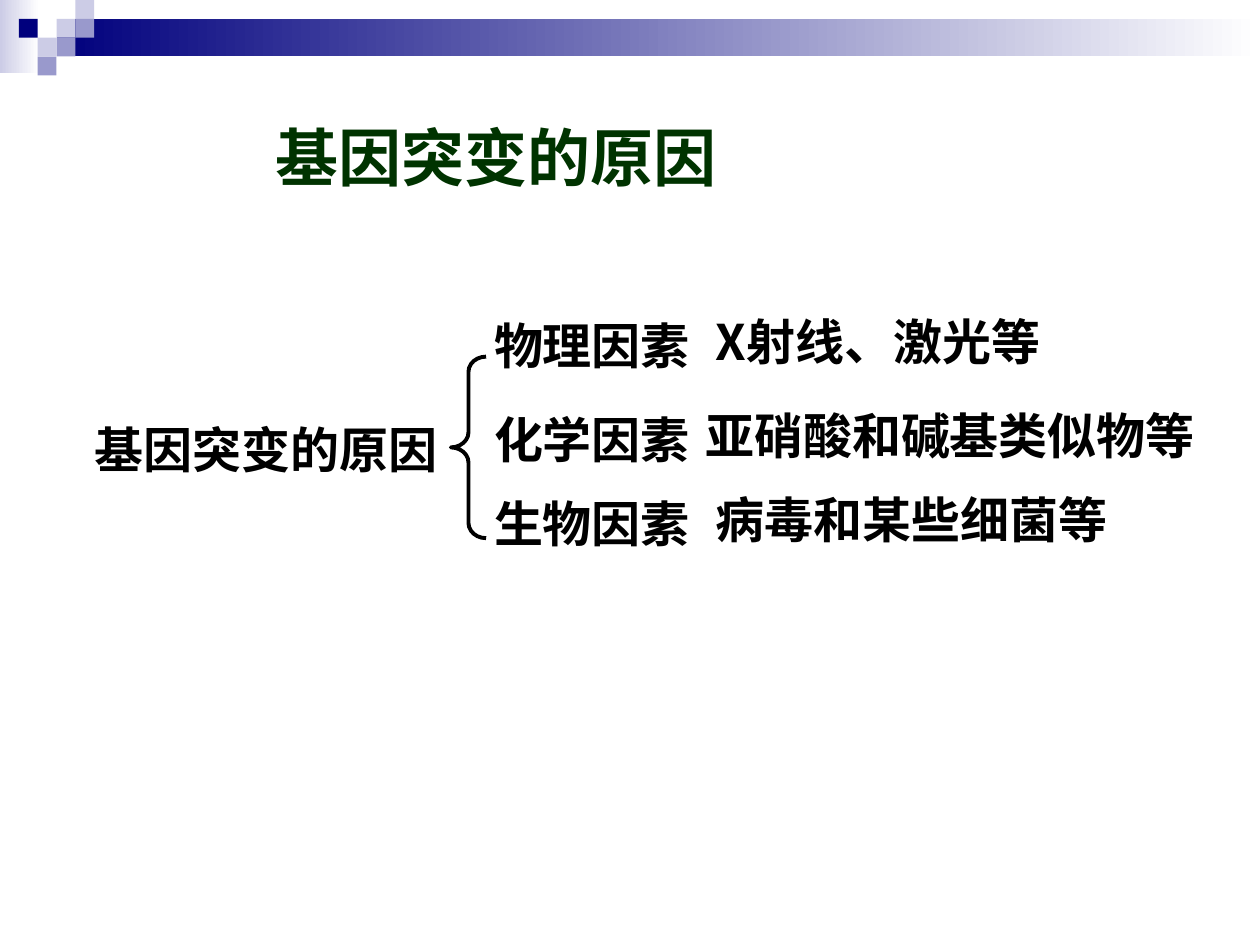
from lxml import etree
from pptx import Presentation
from pptx.dml.color import RGBColor
from pptx.enum.shapes import MSO_SHAPE
from pptx.enum.text import MSO_ANCHOR
from pptx.oxml.ns import qn
from pptx.util import Cm, Pt

RECT, BRACE = MSO_SHAPE.RECTANGLE, MSO_SHAPE.LEFT_BRACE
MIDDLE = MSO_ANCHOR.MIDDLE
FONT = "Noto Sans CJK SC"
COLORS = {"navy": "00007D", "mid": "9999CC", "pale": "CCCCE6",
          "white": "FFFFFF", "title": "003300", "text": "000000"}

# Content
TITLE = "基因突变的原因"
ROOT = "基因突变的原因"
# factor, examples, top of the factor, left of the examples
FACTORS = [
    ("物理因素", "X射线、激光等", 6.35, 14.43),
    ("化学因素", "亚硝酸和碱基类似物等", 8.26, 14.22),
    ("生物因素", "病毒和某些细菌等", 9.95, 14.43),
]

# Header: gradient bars (left, top, width, height, start colour)
BARS = [(0, 0, 0.79, 1.47, "pale"), (1.14, 0.38, 24.26, 0.76, "navy")]
# Header: mosaic of square tiles (column, row, colour)
TILE = 0.38
TILES = [(3, 1, "pale"), (4, 0, "pale"), (4, 1, "mid"), (2, 2, "pale"),
         (1, 1, "navy"), (3, 2, "mid"), (2, 3, "mid")]

TEXT_SIZE, LINE_HEIGHT = 28, 1.19


def rgb(name):
    return RGBColor.from_string(COLORS[name])


def add_rect(slide, x, y, w, h, color, fade=False):
    sp = slide.shapes.add_shape(RECT, Cm(x), Cm(y), Cm(w), Cm(h))
    sp.shadow.inherit = False
    sp.line.fill.background()
    if fade:
        sp.fill.gradient()
        sp.fill.gradient_angle = 0
        for stop, name in zip(sp.fill.gradient_stops, (color, "white")):
            stop.color.rgb = rgb(name)
    else:
        sp.fill.solid()
        sp.fill.fore_color.rgb = rgb(color)


def add_text(slide, text, x, y, w, h=LINE_HEIGHT, size=TEXT_SIZE, color="text"):
    tf = slide.shapes.add_textbox(Cm(x), Cm(y), Cm(w), Cm(h)).text_frame
    tf.word_wrap = True
    tf.vertical_anchor = MIDDLE
    tf.margin_left = tf.margin_right = tf.margin_top = tf.margin_bottom = 0
    p = tf.paragraphs[0]
    p.text = text
    p.font.size, p.font.bold, p.font.name = Pt(size), True, FONT
    p.font.color.rgb = rgb(color)
    # East Asian typeface
    props = p._p.pPr.find(qn("a:defRPr"))
    etree.SubElement(props, qn("a:ea")).set("typeface", FONT)


def main():
    prs = Presentation()
    prs.slide_width, prs.slide_height = Cm(25.4), Cm(19.05)
    slide = prs.slides.add_slide(prs.slide_layouts[6])

    # Header decoration
    for *box, color in BARS:
        add_rect(slide, *box, color, fade=True)
    for col, row, color in TILES:
        add_rect(slide, col * TILE, row * TILE, TILE, TILE, color)

    # Title and root of the diagram
    add_text(slide, TITLE, 5.56, 2.39, 13.59, 1.52, 36, "title")
    add_text(slide, ROOT, 1.91, 8.46, 7.62)

    # Brace
    sp = slide.shapes.add_shape(BRACE, Cm(9.09), Cm(7.19), Cm(0.71), Cm(3.66))
    sp.shadow.inherit = False
    sp.adjustments[0] = 0.43
    sp.fill.background()
    sp.line.color.rgb = rgb("text")
    sp.line.width = Pt(2.25)

    # Factors with their examples
    for factor, examples, top, left in FACTORS:
        add_text(slide, factor, 9.96, top, 4.24)
        add_text(slide, examples, left, top - 0.08, 10.9)

    prs.save("out.pptx")


if __name__ == "__main__":
    main()
